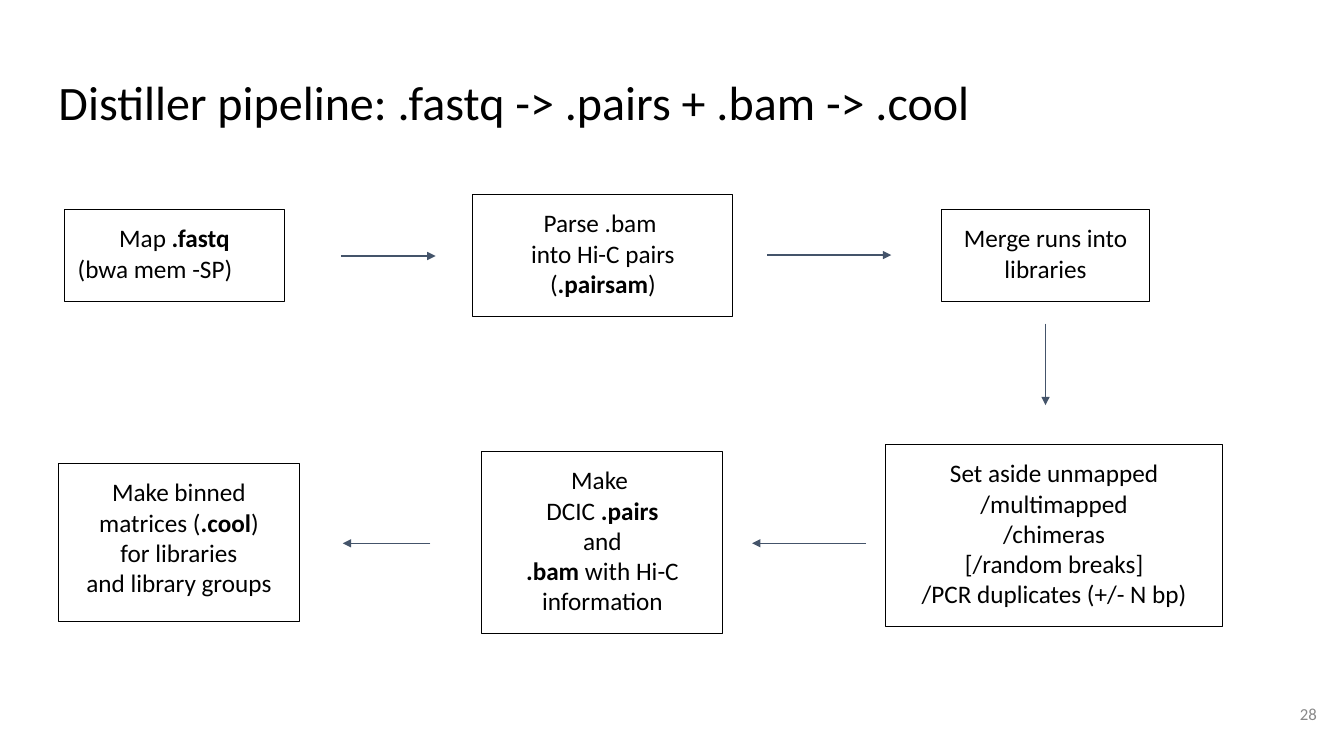
from pptx import Presentation
from pptx.dml.color import RGBColor
from pptx.enum import shapes, text
from pptx.oxml.ns import qn
from pptx.util import Inches, Pt

BLACK = RGBColor(0x00, 0x00, 0x00)
WHITE = RGBColor(0xFF, 0xFF, 0xFF)
SLATE = RGBColor(0x44, 0x54, 0x6A)
GREY = RGBColor(0x88, 0x88, 0x88)
LEFT, MID, RIGHT = text.PP_ALIGN.LEFT, text.PP_ALIGN.CENTER, text.PP_ALIGN.RIGHT

TITLE = "Distiller pipeline: .fastq -> .pairs + .bam -> .cool"
PAGE = "28"

# Left, top, width, height, lines; text between asterisks is bold
STEPS = [
    (0.64, 2.08, 2.18, 0.91, ["Map *.fastq*", "(bwa mem -SP)"]),
    (4.69, 1.93, 2.58, 1.21, ["Parse .bam ", "into Hi-C pairs", "(*.pairsam*)"]),
    (9.34, 2.08, 2.06, 0.91, ["Merge runs into libraries"]),
    (8.78, 4.41, 3.35, 1.81, ["Set aside unmapped", "/multimapped", "/chimeras",
                              "[/random breaks]", "/PCR duplicates (+/- N bp)"]),
    (4.78, 4.48, 2.39, 1.81, ["Make ", "DCIC *.pairs*", "and",
                              "*.bam* with Hi-C information"]),
    (0.58, 4.6, 2.39, 1.57, ["Make binned", "matrices (*.cool*)", "for libraries",
                             "and library groups"]),
]
FLUSH = {"(bwa mem -SP)"}  # lines set flush left

# Start x, y and end x, y
ARROWS = [
    (3.38, 2.54, 4.32, 2.54),
    (7.61, 2.53, 8.84, 2.53),
    (10.37, 3.21, 10.37, 4.02),
    (8.59, 5.39, 7.46, 5.39),
    (4.27, 5.39, 3.4, 5.39),
]


def write(shape, lines, size, color=BLACK, align=MID, inset=0.13, wrap=True,
          anchor=text.MSO_ANCHOR.TOP, space=1.0):
    frame = shape.text_frame
    form = {"word_wrap": wrap, "vertical_anchor": anchor}
    for side in ("left", "top", "right", "bottom"):
        form["margin_" + side] = Inches(inset)
    for key, val in form.items():
        setattr(frame, key, val)
    for n, line in enumerate(lines):
        para = frame.add_paragraph() if n else frame.paragraphs[0]
        para.alignment = LEFT if line in FLUSH else align
        para.line_spacing = space
        for k, part in enumerate(line.split("*")):
            if part:
                run = para.add_run()
                run.text = part
                look = {"name": "Calibri", "size": Pt(size), "bold": k % 2 == 1}
                for key, val in look.items():
                    setattr(run.font, key, val)
                run.font.color.rgb = color


def draw_step(slide, left, top, width, height, lines):
    box = slide.shapes.add_shape(shapes.MSO_SHAPE.RECTANGLE,
                                 *map(Inches, (left, top, width, height)))
    box.shadow.inherit = False
    box.fill.solid()
    box.fill.fore_color.rgb = WHITE
    box.line.color.rgb = BLACK
    box.line.width = Pt(0.75)
    write(box, lines, 18)


def draw_arrow(slide, ends):
    arrow = slide.shapes.add_connector(shapes.MSO_CONNECTOR.STRAIGHT,
                                       *map(Inches, ends))
    arrow.line.color.rgb = SLATE
    arrow.line.width = Pt(0.75)
    props = arrow._element.spPr
    head = props.find(qn("a:ln")).makeelement(qn("a:tailEnd"), {"type": "triangle"})
    props.find(qn("a:ln")).append(head)
    props.append(props.makeelement(qn("a:effectLst"), {}))


def main():
    deck = Presentation()
    deck.slide_width, deck.slide_height = Inches(13.33), Inches(7.5)
    slide = deck.slides.add_slide(deck.slide_layouts[6])

    title = slide.shapes.add_textbox(*map(Inches, (0.45, 0.65, 12.42, 0.84)))
    write(title, [TITLE], 34.3, align=LEFT, space=0.9)
    for step in STEPS:
        draw_step(slide, *step)
    for ends in ARROWS:
        draw_arrow(slide, ends)
    page = slide.shapes.add_textbox(*map(Inches, (12.77, 6.89, 0.39, 0.39)))
    write(page, [PAGE], 12, GREY, RIGHT, 0.1, False, text.MSO_ANCHOR.MIDDLE)

    deck.save("out.pptx")


if __name__ == "__main__":
    main()
